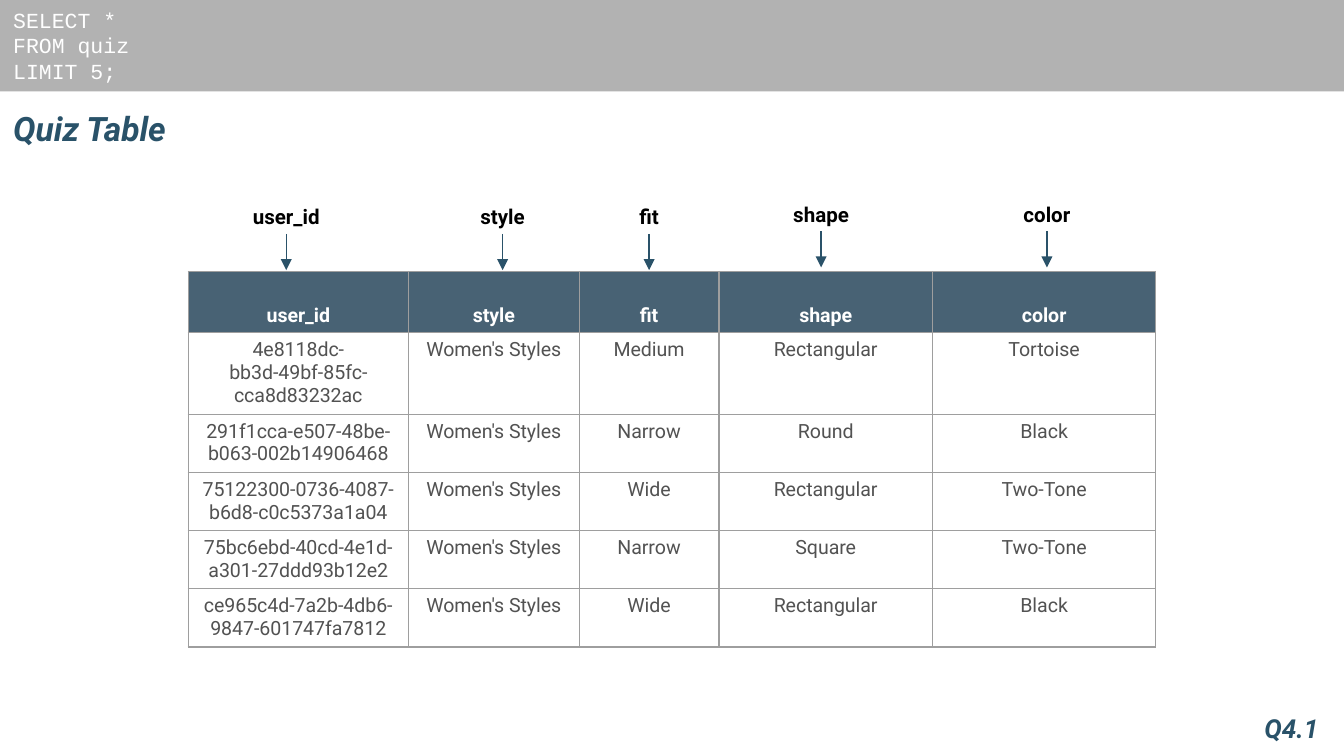
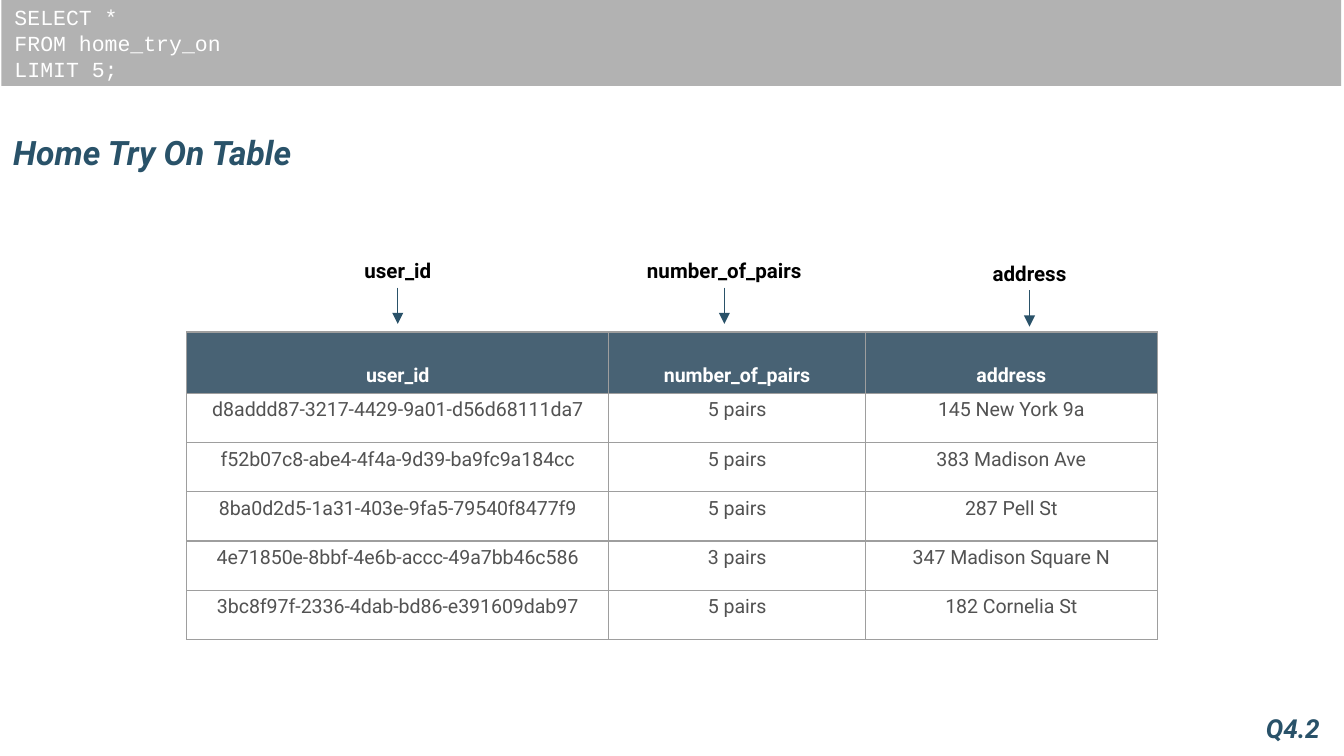
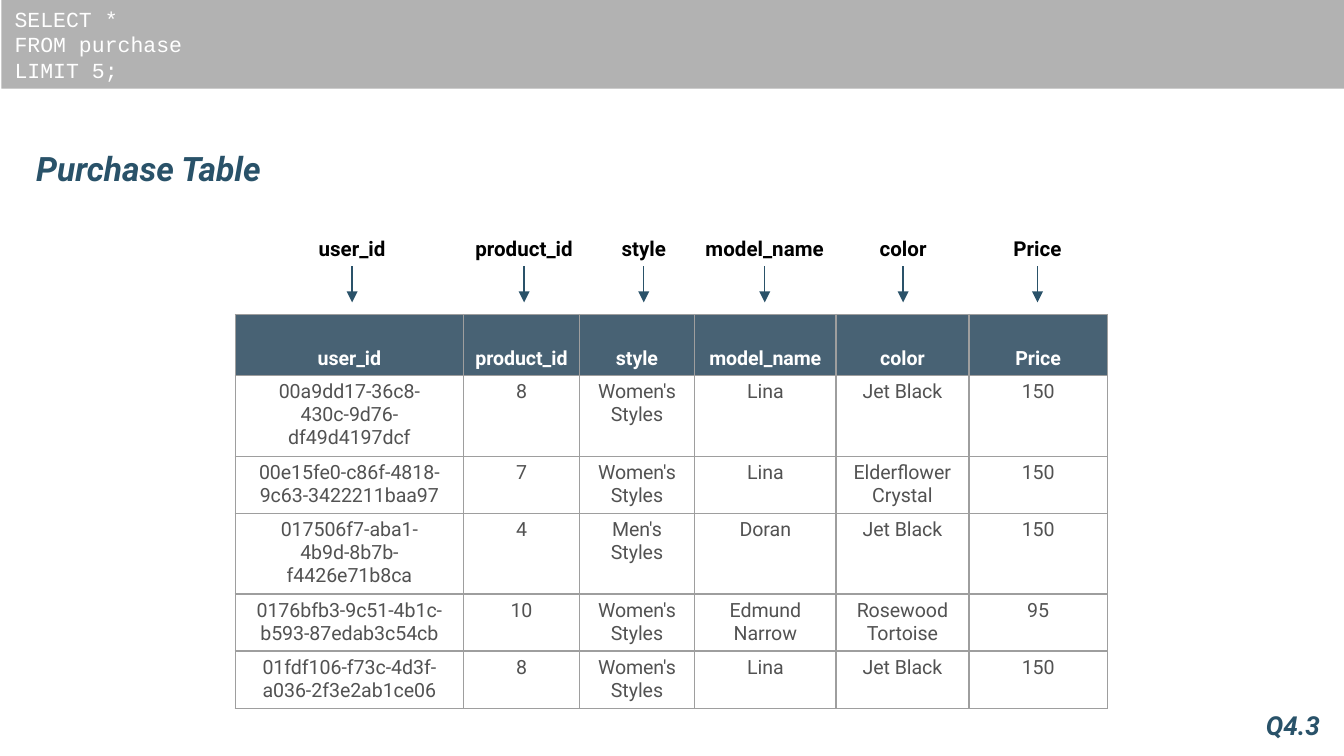
import dataclasses

import lxml.etree
import pptx
import pptx.dml.color
import pptx.enum.shapes
import pptx.enum.text
import pptx.oxml.ns
import pptx.util

Inches = pptx.util.Inches
Pt = pptx.util.Pt
RGB = pptx.dml.color.RGBColor.from_string
Align = pptx.enum.text.PP_ALIGN
Anchor = pptx.enum.text.MSO_ANCHOR
qn = pptx.oxml.ns.qn


@dataclasses.dataclass(frozen=True)
class Theme:
    sans: str = "Roboto"
    mono: str = "Courier New"
    title: str = "295269"
    arrow: str = "2A5269"
    band: str = "B2B2B2"
    head: str = "204056"
    body: str = "525252"
    grid: str = "9E9E9E"
    white: str = "FFFFFF"
    black: str = "000000"
    big: float = 18
    tag: float = 14
    code: float = 11.5
    label: float = 11
    cell: float = 10.5
    line: float = 0.75
    alpha: int = 82000
    top: float = 32.8
    row: float = 26.4


def put(frame, text, font, size, color, bold=False, italic=False,
        align=Align.LEFT, anchor=Anchor.TOP, wrap=True):
    frame.word_wrap = wrap
    frame.vertical_anchor = anchor
    frame.text = text
    for para in frame.paragraphs:
        para.alignment = align
        para.font.name = font
        para.font.size = Pt(size)
        para.font.color.rgb = RGB(color)
        para.font.bold = bold
        para.font.italic = italic


class Deck:
    """Builds slides of query results in one shared style."""

    def __init__(self, theme):
        self.theme = theme
        self.file = pptx.Presentation()
        self.file.slide_width = Inches(10)
        self.file.slide_height = Inches(10) * 9 // 16
        self.slide = None

    def page(self):
        self.slide = self.file.slides.add_slide(self.file.slide_layouts[6])

    def box(self, left, top, width, height, text, **style):
        area = self.slide.shapes.add_textbox(
            Inches(left), Inches(top), Inches(width), Inches(height))
        put(area.text_frame, text, self.theme.sans, bold=True, **style)
        return area

    def band(self, left, width, height, query, anchor):
        bar = self.slide.shapes.add_shape(
            pptx.enum.shapes.MSO_SHAPE.RECTANGLE,
            Inches(left), 0, Inches(width), Inches(height))
        bar.shadow.inherit = False
        bar.fill.solid()
        bar.fill.fore_color.rgb = RGB(self.theme.band)
        bar.line.fill.background()
        put(bar.text_frame, query, self.theme.mono, self.theme.code,
            self.theme.white, anchor=anchor)

    def title(self, left, top, width, height, text):
        area = self.box(left, top, width, height, text, size=self.theme.big,
                        color=self.theme.title, italic=True, anchor=Anchor.BOTTOM)
        area.text_frame.margin_top = area.text_frame.margin_bottom = Inches(0.1)

    def tag(self, left, top, width, text):
        self.box(left, top, width, 0.34, text, size=self.theme.tag,
                 color=self.theme.title, italic=True, wrap=False)

    def label(self, text, mid, top):
        width = 1.51
        self.box(mid - width / 2, top, width, 0.29, text, size=self.theme.label,
                 color=self.theme.black, align=Align.CENTER)
        arrow = self.slide.shapes.add_connector(
            pptx.enum.shapes.MSO_CONNECTOR.STRAIGHT,
            Inches(mid), Inches(top + 0.27), Inches(mid), Inches(top + 0.54))
        arrow.line.color.rgb = RGB(self.theme.arrow)
        arrow.line.width = Pt(self.theme.line)
        line = arrow.line._get_or_add_ln()
        lxml.etree.SubElement(line, qn("a:tailEnd"), type="triangle")
        lxml.etree.SubElement(arrow._element.spPr, qn("a:effectLst"))

    def edge(self, cell):
        props = cell._tc.get_or_add_tcPr()
        for side in ("lnL", "lnR", "lnT", "lnB"):
            line = lxml.etree.SubElement(
                props, qn("a:" + side), w=str(Pt(self.theme.line)))
            fill = lxml.etree.SubElement(line, qn("a:solidFill"))
            lxml.etree.SubElement(fill, qn("a:srgbClr"), val=self.theme.grid)

    def cell(self, cell, text, head, pad):
        theme = self.theme
        cell.margin_left = cell.margin_right = Pt(pad)
        cell.margin_top = cell.margin_bottom = Pt(pad)
        put(cell.text_frame, text, theme.sans, theme.cell,
            theme.white if head else theme.body, bold=head, align=Align.CENTER)
        cell.vertical_anchor = Anchor.BOTTOM if head else Anchor.TOP
        self.edge(cell)
        if head:
            cell.fill.solid()
            cell.fill.fore_color.rgb = RGB(theme.head)
            tint = cell._tc.tcPr.find(qn("a:solidFill"))[0]
            lxml.etree.SubElement(tint, qn("a:alpha"), val=str(theme.alpha))
        else:
            cell.fill.background()

    def table(self, left, top, pad, widths, rows):
        heights = [self.theme.top] + [self.theme.row] * (len(rows) - 1)
        grid = self.slide.shapes.add_table(
            len(rows), len(widths), Inches(left), Inches(top),
            Inches(sum(widths)), Pt(sum(heights))).table
        grid.first_row = grid.horz_banding = False
        for col, width in zip(grid.columns, widths):
            col.width = Inches(width)
        for row, height, texts in zip(grid.rows, heights, rows):
            row.height = Pt(height)
            for cell, text in zip(row.cells, texts):
                self.cell(cell, text, texts is rows[0], pad)


PAGES = [
    dict(
        band=(0, 10, 0.68, "SELECT *\nFROM quiz\nLIMIT 5;", Anchor.TOP),
        title=(0, 0.68, 2.13, 0.52, "Quiz Table"),
        tag=(9.31, 5.25, 0.66, "Q4.1"),
        table=(1.4, 2.02, 3, (1.64, 1.27, 1.04, 1.59, 1.66)),
        marks=((2.13, 1.47), (3.74, 1.47), (4.83, 1.47), (6.11, 1.45), (7.79, 1.45)),
        rows=[
            ("user_id", "style", "fit", "shape", "color"),
            ("4e8118dc-bb3d-49bf-85fc-cca8d83232ac", "Women's Styles", "Medium",
             "Rectangular", "Tortoise"),
            ("291f1cca-e507-48be-b063-002b14906468", "Women's Styles", "Narrow",
             "Round", "Black"),
            ("75122300-0736-4087-b6d8-c0c5373a1a04", "Women's Styles", "Wide",
             "Rectangular", "Two-Tone"),
            ("75bc6ebd-40cd-4e1d-a301-27ddd93b12e2", "Women's Styles", "Narrow",
             "Square", "Two-Tone"),
            ("ce965c4d-7a2b-4db6-9847-601747fa7812", "Women's Styles", "Wide",
             "Rectangular", "Black"),
        ],
    ),
    dict(
        band=(0.01, 9.97, 0.64, "SELECT *\nFROM home_try_on\nLIMIT 5;", Anchor.MIDDLE),
        title=(0, 0.93, 2.99, 0.45, "Home Try On Table"),
        tag=(9.32, 5.25, 0.66, "Q4.2"),
        table=(1.39, 2.47, 3, (3.14, 1.91, 2.17)),
        marks=((2.96, 1.87), (5.39, 1.87), (7.66, 1.89)),
        rows=[
            ("user_id", "number_of_pairs", "address"),
            ("d8addd87-3217-4429-9a01-d56d68111da7", "5 pairs", "145 New York 9a"),
            ("f52b07c8-abe4-4f4a-9d39-ba9fc9a184cc", "5 pairs", "383 Madison Ave"),
            ("8ba0d2d5-1a31-403e-9fa5-79540f8477f9", "5 pairs", "287 Pell St"),
            ("4e71850e-8bbf-4e6b-accc-49a7bb46c586", "3 pairs", "347 Madison Square N"),
            ("3bc8f97f-2336-4dab-bd86-e391609dab97", "5 pairs", "182 Cornelia St"),
        ],
    ),
    dict(
        band=(0.01, 9.99, 0.66, "SELECT *\nFROM purchase\nLIMIT 5;", Anchor.MIDDLE),
        title=(0.17, 1.09, 2.55, 0.41, "Purchase Table"),
        tag=(9.32, 5.23, 0.61, "Q4.3"),
        table=(1.75, 2.34, 2.7, (1.7, 0.86, 0.86, 1.05, 0.99, 1.03)),
        marks=[(mid, 1.71) for mid in (2.62, 3.9, 4.79, 5.69, 6.72, 7.72)],
        rows=[
            ("user_id", "product_id", "style", "model_name", "color", "Price"),
            ("00a9dd17-36c8-430c-9d76-df49d4197dcf", "8", "Women's Styles", "Lina",
             "Jet Black", "150"),
            ("00e15fe0-c86f-4818-9c63-3422211baa97", "7", "Women's Styles", "Lina",
             "Elderflower Crystal", "150"),
            ("017506f7-aba1-4b9d-8b7b-f4426e71b8ca", "4", "Men's Styles", "Doran",
             "Jet Black", "150"),
            ("0176bfb3-9c51-4b1c-b593-87edab3c54cb", "10", "Women's Styles",
             "Edmund Narrow", "Rosewood Tortoise", "95"),
            ("01fdf106-f73c-4d3f-a036-2f3e2ab1ce06", "8", "Women's Styles", "Lina",
             "Jet Black", "150"),
        ],
    ),
]


def main():
    deck = Deck(Theme())
    for page in PAGES:
        deck.page()
        deck.title(*page["title"])
        deck.table(*page["table"], page["rows"])
        deck.band(*page["band"])
        deck.tag(*page["tag"])
        for name, (mid, top) in zip(page["rows"][0], page["marks"]):
            deck.label(name, mid, top)
    deck.file.save("out.pptx")


if __name__ == "__main__":
    main()
